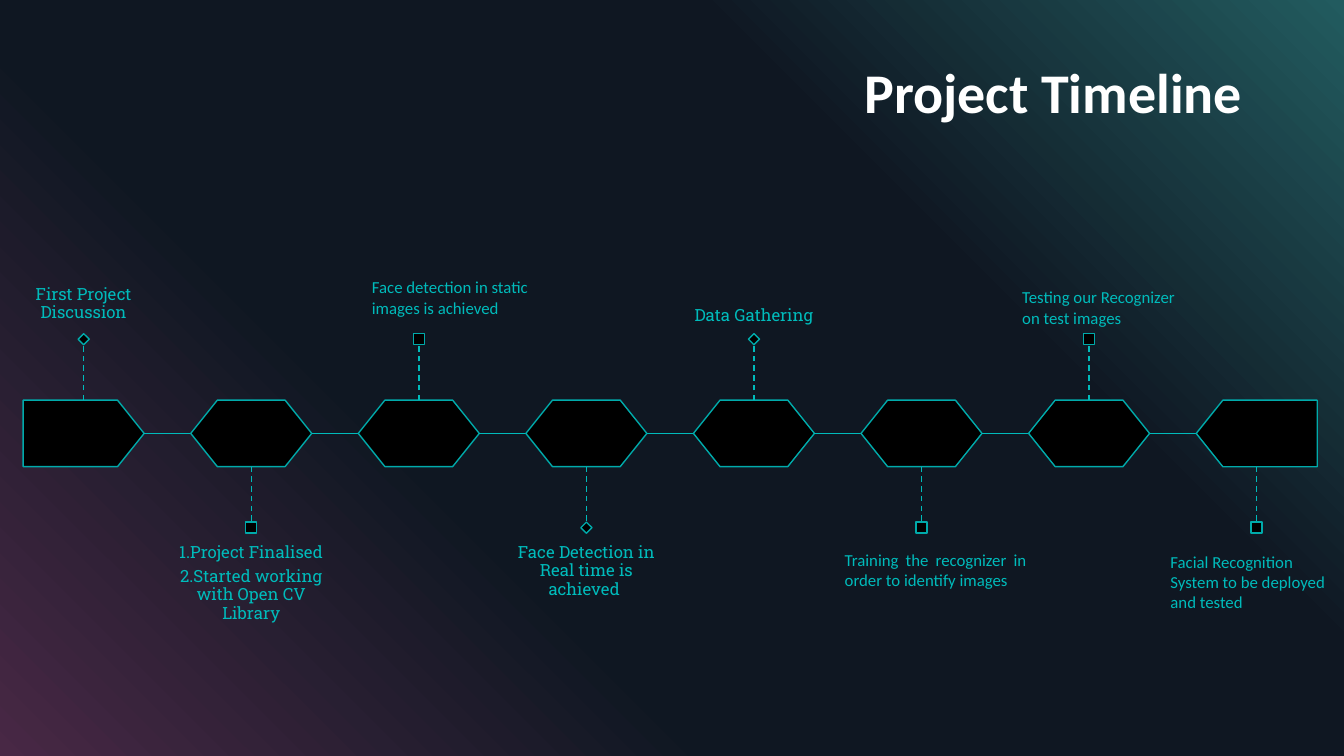
from copy import deepcopy
from pptx import Presentation
from pptx.dml.color import RGBColor
from pptx.enum.dml import MSO_LINE
from pptx.enum.shapes import MSO_CONNECTOR, MSO_SHAPE
from pptx.enum.text import MSO_ANCHOR, PP_ALIGN
from pptx.oxml.ns import qn
from pptx.util import Inches, Pt

# Content: text paragraphs, marker shape, text box (None = centred on its step)
TITLE = "Project Timeline"
DIAMOND, SQUARE = MSO_SHAPE.DIAMOND, MSO_SHAPE.RECTANGLE
STEPS = [
    (["First Project Discussion"], DIAMOND, None),
    (["1.Project Finalised", "2.Started working with Open CV Library"], SQUARE, None),
    (["Face detection in static images is achieved"], SQUARE, (3.59, 2.7, 1.79, 0.71)),
    (["Face Detection in Real time is achieved "], DIAMOND, None),
    (["Data Gathering"], DIAMOND, None),
    (["Training the recognizer in order to identify images"], SQUARE, (8.28, 5.4, 2, 0.71)),
    (["Testing our Recognizer on test images"], SQUARE, (10.04, 2.8, 1.79, 0.5)),
    (["Facial Recognition System to be deployed and tested"], SQUARE, (11.51, 5.42, 1.75, 0.91)),
]
JUSTIFIED = 5

# Colours
BLACK = RGBColor(0x00, 0x00, 0x00)
WHITE = RGBColor(0xFF, 0xFF, 0xFF)
EDGE = RGBColor(0x00, 0xAA, 0xAA)
TEAL = RGBColor(0x00, 0xBB, 0xBB)
PLUM = RGBColor(0x48, 0x28, 0x45)
NAVY = RGBColor(0x0F, 0x17, 0x22)
PINE = RGBColor(0x22, 0x5B, 0x5F)
GRADIENT = [(0, PLUM), (0.34, NAVY), (0.69, NAVY), (1, PINE)]

# Grid, in inches
FIRST, PITCH, MID = 0.83, 1.66, 4.3
STEP_W, STEP_H = 1.2, 0.66
MARKER, STEM = 0.11, 0.55
LABEL_W, LABEL_H, LABEL_GAP = 1.66, 1.75, 0.98

prs = Presentation()
prs.slide_width, prs.slide_height = Inches(13.33), Inches(7.5)
s = prs.slides.add_slide(prs.slide_layouts[5])


def add_shape(kind, x, y, w, h):
    sp = s.shapes.add_shape(kind, Inches(x), Inches(y), Inches(w), Inches(h))
    sp.shadow.inherit = False
    sp.fill.solid()
    sp.fill.fore_color.rgb = BLACK
    sp.line.color.rgb = EDGE
    sp.line.width = Pt(1)
    return sp


def add_line(x1, y1, x2, y2):
    line = s.shapes.add_connector(
        MSO_CONNECTOR.STRAIGHT, Inches(x1), Inches(y1), Inches(x2), Inches(y2))
    line.line.color.rgb = TEAL
    line.line.width = Pt(1)
    props = line._element.spPr
    props.append(props.makeelement(qn("a:effectLst"), {}))
    return line


def add_label(texts, box, font):
    tb = s.shapes.add_textbox(*[Inches(v) for v in box])
    tf = tb.text_frame
    tf.word_wrap = True
    tf.text = "\n".join(texts)
    for p in tf.paragraphs:
        p.font.name, p.font.size = font, Pt(12)
        p.font.color.rgb = TEAL
    return tf


# Background gradient, from bottom left to top right
fill = s.background.fill
fill.gradient()
fill.gradient_angle = 45
stops = s.element.find(".//" + qn("a:gsLst"))
for _ in GRADIENT[2:]:
    stops.append(deepcopy(stops[0]))
for stop, (position, colour) in zip(fill.gradient_stops, GRADIENT):
    stop.position = position
    stop.color.rgb = colour

# Title
title = s.shapes.title
title.left, title.top, title.width, title.height = (
    Inches(v) for v in (0.92, 0.4, 11.5, 1.09))
tf = title.text_frame
tf.text = TITLE
tf.vertical_anchor = MSO_ANCHOR.MIDDLE
p = tf.paragraphs[0]
p.alignment, p.line_spacing = PP_ALIGN.RIGHT, 0.9
p.font.name, p.font.size, p.font.bold = "Calibri", Pt(40), True
p.font.color.rgb = WHITE

# Timeline: steps alternate above and below the middle line
last = len(STEPS) - 1
for i, (texts, marker_kind, box) in enumerate(STEPS):
    cx = FIRST + PITCH * i + 0.002 * i
    above = i % 2 == 0
    side = -1 if above else 1

    # Step
    kind = MSO_SHAPE.PENTAGON if i in (0, last) else MSO_SHAPE.HEXAGON
    step = add_shape(kind, cx - STEP_W / 2, MID - STEP_H / 2, STEP_W, STEP_H)
    step.adjustments[0] = 0.4
    if i == last:
        step.rotation = 180
    else:
        add_line(cx + STEP_W / 2, MID, cx + PITCH - STEP_W / 2, MID)

    # Marker and dashed stem
    edge = MID + side * STEP_H / 2
    tip = edge + side * STEM
    marker = add_shape(marker_kind, cx - MARKER / 2,
                       tip - MARKER if above else tip, MARKER, MARKER)
    stem = add_line(cx, edge, cx, tip)
    stem.line.dash_style = MSO_LINE.DASH
    stem.end_connect(marker, 2 if above else 0)

    # Label
    if box:
        tf = add_label(texts, box, "Calibri")
        if i == JUSTIFIED:
            tf.paragraphs[0].alignment = PP_ALIGN.JUSTIFY
        continue
    top = MID - LABEL_GAP - LABEL_H if above else MID + LABEL_GAP
    tf = add_label(texts, (cx - LABEL_W / 2, top, LABEL_W, LABEL_H), "Roboto Slab")
    tf.margin_left = tf.margin_right = 0
    tf.margin_top = tf.margin_bottom = Inches(0.12)
    tf.vertical_anchor = MSO_ANCHOR.BOTTOM if above else MSO_ANCHOR.TOP
    for p in tf.paragraphs:
        p.alignment, p.line_spacing, p.space_after = PP_ALIGN.CENTER, 0.9, Pt(4.2)

prs.save("out.pptx")
